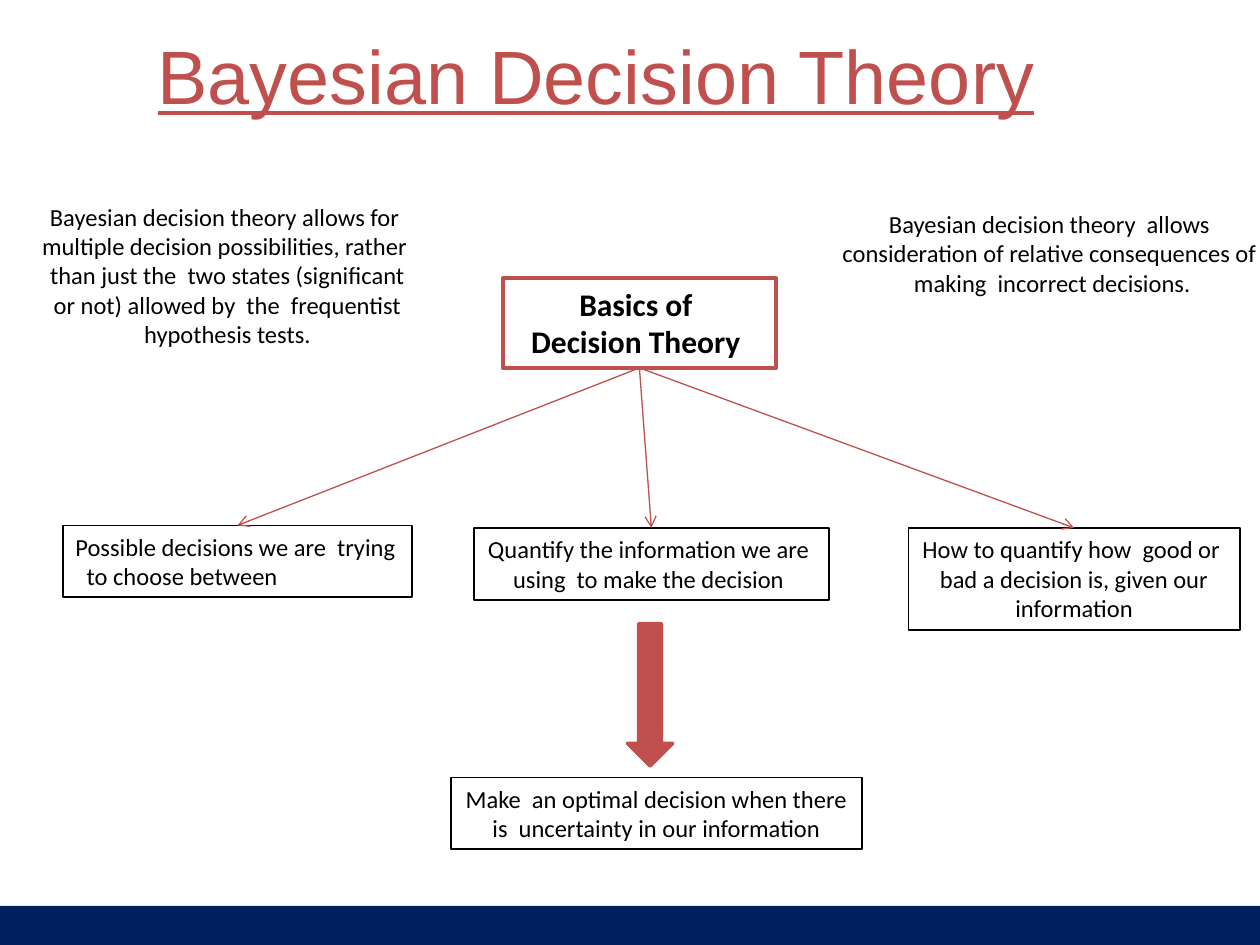
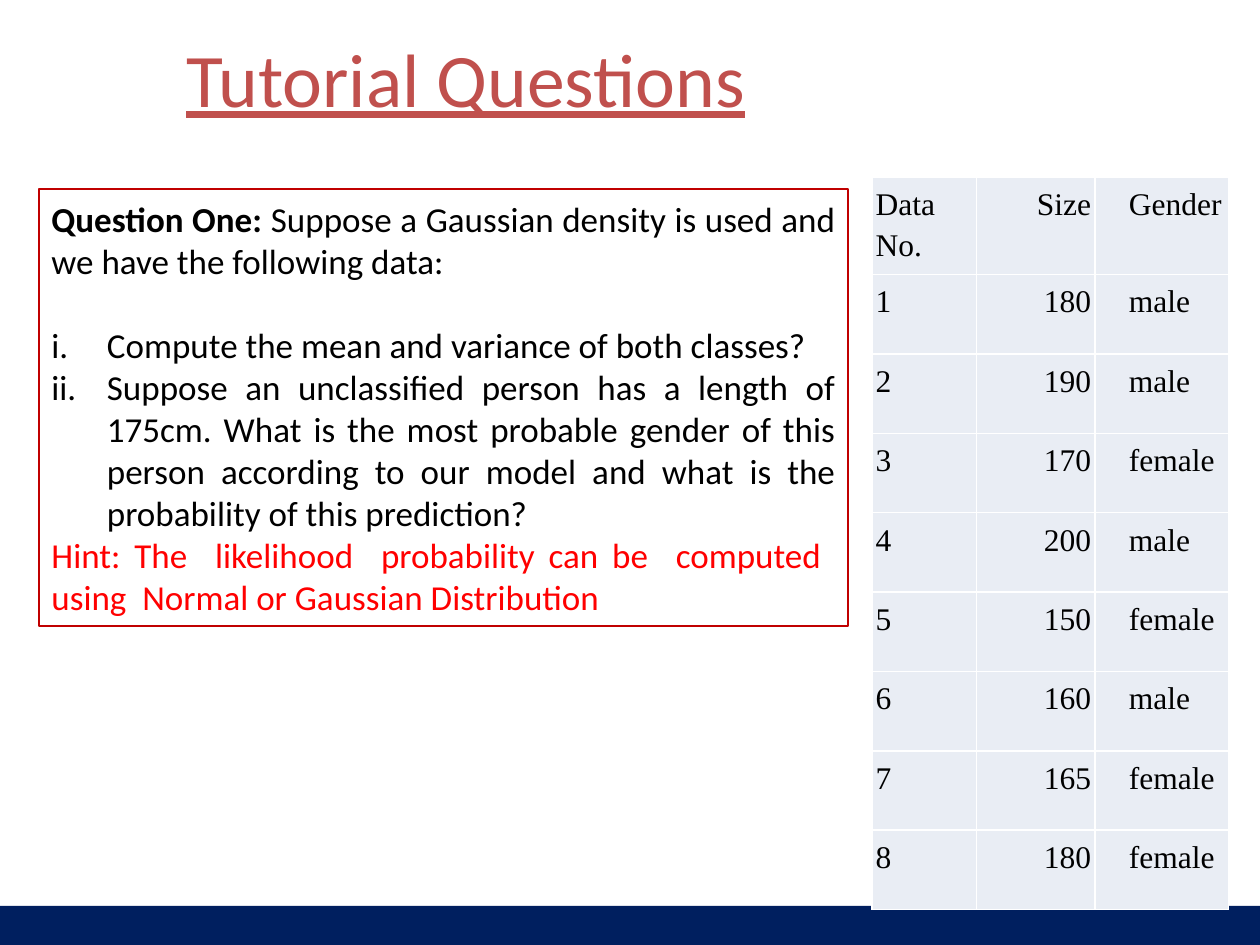
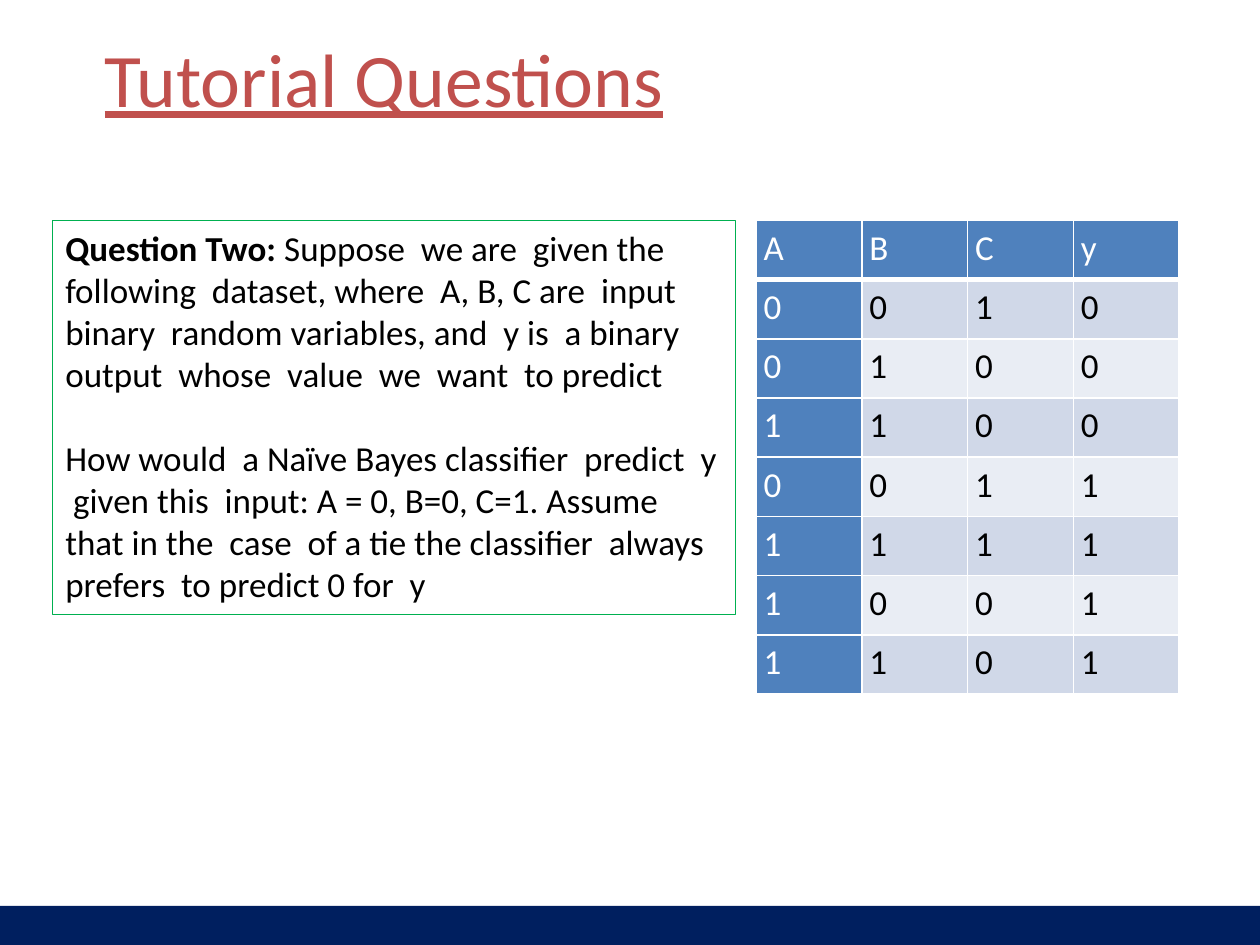
from dataclasses import dataclass
from typing import Any

from lxml import etree
from pptx import Presentation
from pptx.dml.color import RGBColor
from pptx.enum.shapes import MSO_CONNECTOR, MSO_SHAPE
from pptx.enum.text import MSO_ANCHOR, PP_ALIGN
from pptx.oxml.ns import qn
from pptx.util import Inches, Pt

RECTANGLE, DOWN_ARROW = MSO_SHAPE.RECTANGLE, MSO_SHAPE.DOWN_ARROW
STRAIGHT = MSO_CONNECTOR.STRAIGHT
LEFT, CENTER, RIGHT, JUSTIFY = PP_ALIGN.LEFT, PP_ALIGN.CENTER, PP_ALIGN.RIGHT, PP_ALIGN.JUSTIFY
TOP, MIDDLE = MSO_ANCHOR.TOP, MSO_ANCHOR.MIDDLE
TOP_SIDE, BOTTOM_SIDE = 0, 2

# Shared palette and fonts
BLACK, WHITE, NAVY, BRICK = "000000", "FFFFFF", "001F5F", "C0504D"
CRIMSON, RED, GREEN = "C00000", "FF0000", "00B050"
BLUE, DARK_BAND, LIGHT_BAND = "4F81BD", "D0D8E8", "E9EDF4"
SANS, SERIF, TITLE_SANS = "Calibri", "Times New Roman", "Arial"
MARGINS = ("margin_left", "margin_top", "margin_right", "margin_bottom")


@dataclass
class Area:
    left: float
    top: float
    width: float
    height: float

    def emu(self) -> tuple[int, ...]:
        return tuple(Inches(v) for v in (self.left, self.top, self.width, self.height))


@dataclass
class Para:
    text: str
    lead: str = ""
    color: str = BLACK
    indent: float = 0
    numbered: bool = False
    space_before: float = 0


@dataclass
class Style:
    size: float
    font: str = SANS
    align: Any = LEFT
    bold: bool = False
    underline: bool = False
    line_spacing: float | None = None


@dataclass
class Box:
    area: Area
    paras: list[Para]
    style: Style
    line: str = BLACK
    line_width: float = 1
    fill: str | None = None
    anchor: Any = TOP
    wrap: bool = True


@dataclass
class Column:
    width: float
    align: Any = LEFT
    indent: float = 0


@dataclass
class Grid:
    left: float
    top: float
    columns: list[Column]
    row_heights: list[float]
    rows: list[list[str]]
    style: Style
    margins: tuple[float, ...]
    bands: tuple[str, ...]
    accent: str | None = None  # fill of the header row and first column
    header_rule: float = 1


def rgb(color: str) -> RGBColor:
    return RGBColor.from_string(color)


def assign(target: Any, values: dict[str, Any]) -> None:
    for name, value in values.items():
        setattr(target, name, value)


def write(frame: Any, paras: list[Para], style: Style) -> None:
    """Fill a text frame with styled paragraphs."""
    for index, para in enumerate(paras):
        paragraph = frame.add_paragraph() if index else frame.paragraphs[0]
        assign(paragraph, {"alignment": style.align, "line_spacing": style.line_spacing})
        if para.space_before:
            paragraph.space_before = Pt(para.space_before)
        if para.indent:
            properties = paragraph._p.get_or_add_pPr()
            properties.set("marL", str(Inches(para.indent)))
            if para.numbered:
                properties.set("indent", str(-Inches(para.indent)))
                etree.SubElement(properties, qn("a:buAutoNum"), type="romanLcPeriod")
        for text, bold in ((para.lead, True), (para.text, style.bold)):
            if text:
                run = paragraph.add_run()
                run.text = text
                assign(run.font, {"name": style.font, "size": Pt(style.size),
                                  "bold": bold, "underline": style.underline})
                run.font.color.rgb = rgb(para.color)


def add_text(slide: Any, area: Area, para: Para, style: Style, margin: float = 0) -> None:
    frame = slide.shapes.add_textbox(*area.emu()).text_frame
    frame.word_wrap = True
    if not margin:
        assign(frame, dict.fromkeys(MARGINS, 0))
    write(frame, [para], style)


def add_block(slide: Any, preset: Any, area: Area, fill: str | None = None,
              line: str | None = None, line_width: float = 1) -> Any:
    block = slide.shapes.add_shape(preset, *area.emu())
    block.shadow.inherit = False
    if fill:
        block.fill.solid()
        block.fill.fore_color.rgb = rgb(fill)
    else:
        block.fill.background()
    if line:
        block.line.color.rgb = rgb(line)
        block.line.width = Pt(line_width)
    else:
        block.line.fill.background()
    return block


def add_box(slide: Any, box: Box) -> Any:
    block = add_block(slide, RECTANGLE, box.area, box.fill, box.line, box.line_width)
    assign(block.text_frame, {"word_wrap": box.wrap, "vertical_anchor": box.anchor})
    write(block.text_frame, box.paras, box.style)
    return block


def add_arrow(slide: Any, source: Any, target: Any) -> None:
    """Arrow from the bottom of one box to the top of another."""
    arrow = slide.shapes.add_connector(STRAIGHT, 0, 0, 0, 0)
    arrow.begin_connect(source, BOTTOM_SIDE)
    arrow.end_connect(target, TOP_SIDE)
    arrow.line.color.rgb = rgb(BRICK)
    arrow.line.width = Pt(0.75)
    etree.SubElement(arrow.line._get_or_add_ln(), qn("a:tailEnd"), type="arrow")
    etree.SubElement(arrow._element.spPr, qn("a:effectLst"))


def add_borders(cell: Any, bottom: float) -> None:
    properties = cell._tc.get_or_add_tcPr()
    for index, (side, width) in enumerate((("L", 1), ("R", 1), ("T", 1), ("B", bottom))):
        border = etree.Element(qn(f"a:ln{side}"), w=str(Pt(width)))
        fill = etree.SubElement(border, qn("a:solidFill"))
        etree.SubElement(fill, qn("a:srgbClr"), val=WHITE)
        properties.insert(index, border)


def add_grid(slide: Any, grid: Grid) -> None:
    area = Area(grid.left, grid.top, sum(c.width for c in grid.columns), sum(grid.row_heights))
    table = slide.shapes.add_table(len(grid.rows), len(grid.columns), *area.emu()).table
    for table_column, column in zip(table.columns, grid.columns):
        table_column.width = Inches(column.width)
    for r, (height, values) in enumerate(zip(grid.row_heights, grid.rows)):
        table.rows[r].height = Inches(height)
        for c, (column, value) in enumerate(zip(grid.columns, values)):
            cell = table.cell(r, c)
            accented = grid.accent and (r == 0 or c == 0)
            band = grid.bands[(r - 1) % len(grid.bands)]
            cell.fill.solid()
            cell.fill.fore_color.rgb = rgb(grid.accent if accented else band)
            assign(cell, {name: Inches(v) for name, v in zip(MARGINS, grid.margins)})
            style = Style(grid.style.size, grid.style.font, column.align,
                          line_spacing=grid.style.line_spacing)
            para = Para(value, color=WHITE if accented else BLACK, indent=column.indent)
            write(cell.text_frame, [para], style)
            add_borders(cell, grid.header_rule if r == 0 else 1)


def new_slide(deck: Any, title: str, area: Area, font: str = SANS) -> Any:
    """Blank slide with the footer band and underlined title."""
    slide = deck.slides.add_slide(deck.slide_layouts[6])
    add_block(slide, RECTANGLE, Area(0, 7.19, 10, 0.31), NAVY)
    add_text(slide, area, Para(title, color=BRICK), Style(43.2, font, underline=True))
    return slide


def build_theory(deck: Any) -> None:
    slide = new_slide(deck, "Bayesian Decision Theory", Area(1.25, 0.23, 7.31, 1.34), TITLE_SANS)
    centered = Style(14, align=CENTER)

    # Remarks on both sides
    add_text(slide, Area(0.21, 1.55, 3.19, 1.28), Para(
        "Bayesian decision theory allows for  multiple decision possibilities, rather  than just "
        "the  two states (significant or not) allowed by  the  frequentist hypothesis tests."),
        centered, 0.1)
    add_text(slide, Area(6.58, 1.61, 3.5, 0.81), Para(
        "Bayesian decision theory  allows consideration of relative consequences of  making  "
        "incorrect decisions."), centered, 0.1)

    # Decision tree
    basics = add_box(slide, Box(
        Area(3.99, 2.21, 2.17, 0.71), [Para("Basics of "), Para("Decision Theory ")],
        Style(18, align=CENTER, bold=True), BRICK, 2.25))
    branches = [
        Box(Area(0.5, 4.17, 2.77, 0.57),
            [Para("Possible decisions we are  trying"), Para("to choose between", indent=0.09)],
            Style(14), wrap=False),
        Box(Area(3.76, 4.19, 2.82, 0.57),
            [Para("Quantify the information we are "), Para("using  to make the decision ")],
            centered, wrap=False),
        Box(Area(7.21, 4.19, 2.63, 0.81),
            [Para("How to quantify how  good or "), Para("bad a decision is, given our"),
             Para("information")], centered, wrap=False),
    ]
    for branch in branches:
        add_arrow(slide, basics, add_box(slide, branch))

    # Outcome
    add_box(slide, Box(
        Area(3.58, 6.17, 3.26, 0.57),
        [Para("Make  an optimal decision when there"), Para("is  uncertainty in our information")],
        centered, wrap=False))
    add_block(slide, DOWN_ARROW, Area(4.98, 4.95, 0.36, 1.13), BRICK, BRICK, 2)


def build_question_one(deck: Any) -> None:
    slide = new_slide(deck, "Tutorial Questions", Area(1.48, 0.25, 6.37, 0.72))
    add_box(slide, Box(
        Area(0.31, 1.5, 6.42, 3.47),
        [Para("Suppose a Gaussian density is used and we have the following data:",
              lead="Question One: "),
         Para("Compute the mean and variance of both classes?",
              indent=0.44, numbered=True, space_before=24),
         Para("Suppose an unclassified person has a length of 175cm. What is the most probable "
              "gender of this person according to our model and what is the probability of this "
              "prediction?", indent=0.44, numbered=True),
         Para("Hint: The  likelihood  probability can be  computed  using  Normal or Gaussian "
              "Distribution", color=RED)],
        Style(20, align=JUSTIFY), CRIMSON, 0.75, WHITE, MIDDLE))

    # Sample of sizes by gender
    people = [("180", "male"), ("190", "male"), ("170", "female"), ("200", "male"),
              ("150", "female"), ("160", "male"), ("165", "female"), ("180", "female")]
    rows = [[str(number), size, gender] for number, (size, gender) in enumerate(people, 1)]
    add_grid(slide, Grid(
        6.92, 1.41, [Column(0.83), Column(0.94, RIGHT), Column(1.06, indent=0.24)],
        [0.75] + [0.63] * len(rows), [["Data No.", "Size", "Gender"]] + rows,
        Style(18, SERIF, line_spacing=1.15), (0.03, 0.04, 0.03, 0.04), (LIGHT_BAND,)))


def build_question_two(deck: Any) -> None:
    slide = new_slide(deck, "Tutorial Questions", Area(0.83, 0.25, 9, 0.72))
    add_box(slide, Box(
        Area(0.42, 1.75, 5.42, 3.13),
        [Para("Suppose  we are  given the following  dataset, where  A, B, C are  input binary  "
              "random variables, and  y is  a binary  output  whose  value  we  want  to predict",
              lead="Question Two: "),
         Para("How would  a Naïve Bayes classifier  predict  y  given this  input: A = 0, B=0, "
              "C=1. Assume  that in the  case  of a tie the classifier  always  prefers  to "
              "predict 0 for  y", space_before=24)],
        Style(20), GREEN, 0.5, WHITE))

    # Training data, one string per row
    rows = [list(row) for row in
            ("ABCy", "0010", "0100", "1100", "0011", "1111", "1001", "1101")]
    add_grid(slide, Grid(
        6, 1.75, [Column(0.84)] * 4, [0.47] * len(rows), rows,
        Style(20, line_spacing=1.15), (0.06, 0, 0.06, 0), (DARK_BAND, LIGHT_BAND), BLUE, 3))


def main() -> None:
    deck = Presentation()
    deck.slide_width, deck.slide_height = Inches(10), Inches(7.5)
    build_theory(deck)
    build_question_one(deck)
    build_question_two(deck)
    deck.save("out.pptx")


if __name__ == "__main__":
    main()
